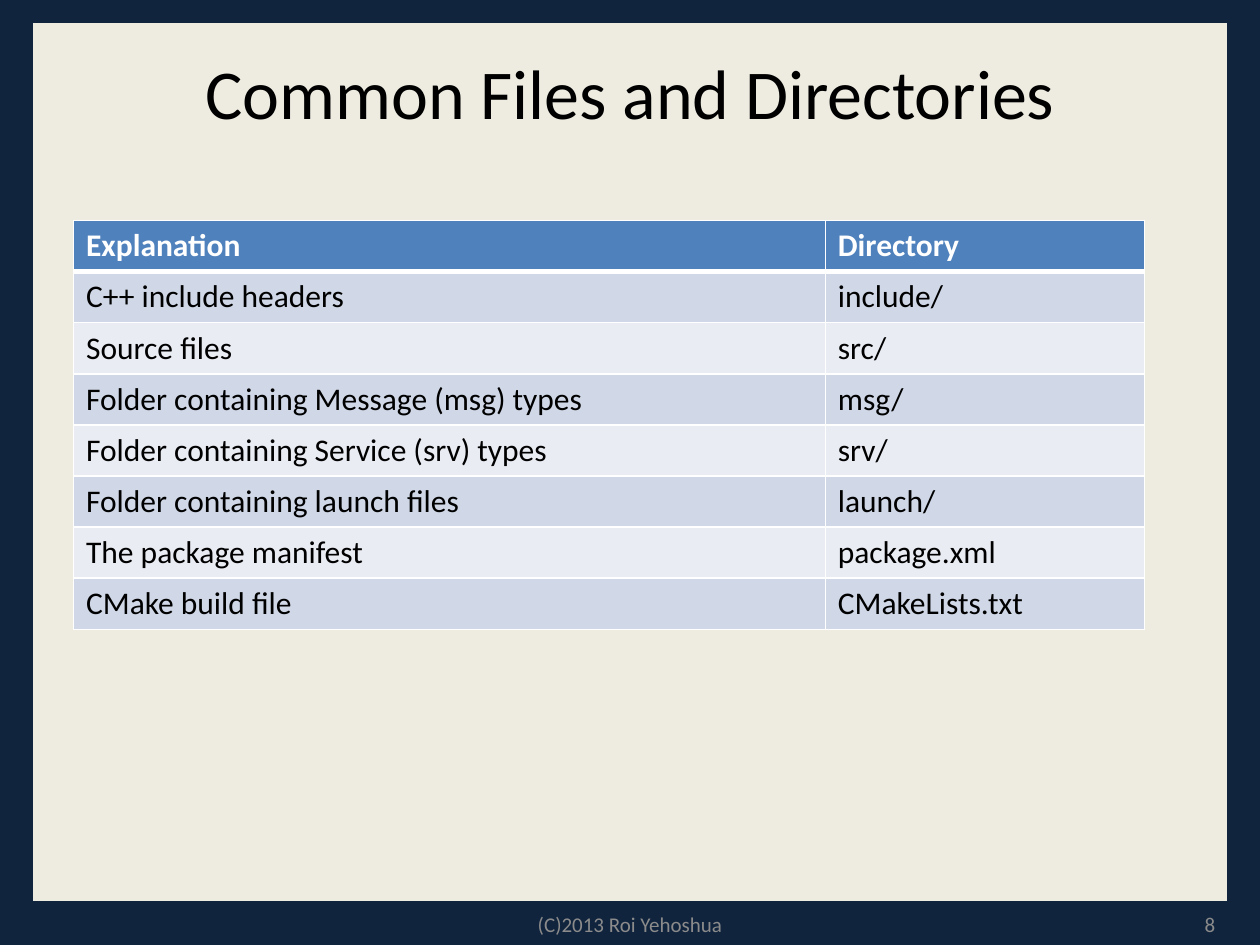
from lxml.etree import SubElement
from pptx import Presentation
from pptx.dml.color import RGBColor
from pptx.enum.shapes import MSO_SHAPE
from pptx.enum.text import MSO_ANCHOR, PP_ALIGN
from pptx.oxml.ns import qn
from pptx.util import Pt

NAVY = RGBColor(0x10, 0x24, 0x3E)
CREAM = RGBColor(0xEE, 0xEC, 0xE1)
BLACK = RGBColor(0, 0, 0)
WHITE = RGBColor(0xFF, 0xFF, 0xFF)
GRAY = RGBColor(0x8B, 0x8B, 0x8B)
BLUE = RGBColor(0x4F, 0x81, 0xBD)
BANDS = [RGBColor(0xE9, 0xEC, 0xF3), RGBColor(0xD0, 0xD8, 0xE7)]


def add_text(tf, text, size, color, align=PP_ALIGN.LEFT, bold=False):
    p = tf.paragraphs[0]
    p.alignment = align
    r = p.add_run()
    r.text = text
    r.font.name = "Calibri"
    r.font.size = Pt(size)
    r.font.bold = bold
    r.font.color.rgb = color


def set_border(cell, side, width):
    ln = SubElement(cell._tc.get_or_add_tcPr(), qn(f"a:ln{side}"), w=str(Pt(width)))
    fill = SubElement(ln, qn("a:solidFill"))
    SubElement(fill, qn("a:srgbClr"), val=str(WHITE))


prs = Presentation()
prs.slide_width, prs.slide_height = Pt(720), Pt(540)
s = prs.slides.add_slide(prs.slide_layouts[5])
s.background.fill.solid()
s.background.fill.fore_color.rgb = NAVY

# Title
title = s.shapes.title
title.left, title.top, title.width, title.height = Pt(18), Pt(15), Pt(684), Pt(75)
title.text_frame.vertical_anchor = MSO_ANCHOR.MIDDLE
add_text(title.text_frame, "Common Files and Directories", 40, BLACK, PP_ALIGN.CENTER)

# Cream panel, behind the title
panel = s.shapes.add_shape(MSO_SHAPE.RECTANGLE, Pt(18), Pt(12), Pt(684), Pt(504))
panel.shadow.inherit = False
panel.fill.solid()
panel.fill.fore_color.rgb = CREAM
panel.line.color.rgb = NAVY
panel.line.width = Pt(2)
title.element.addprevious(panel.element)

# Table of files and directories
rows = [
    ("Explanation", "Directory"),
    ("C++ include headers", "include/"),
    ("Source files", "src/"),
    ("Folder containing Message (msg) types", "msg/"),
    ("Folder containing Service (srv) types", "srv/"),
    ("Folder containing launch files", "launch/"),
    ("The package manifest", "package.xml"),
    ("CMake build file", "CMakeLists.txt"),
]
table = s.shapes.add_table(len(rows), 2, Pt(42), Pt(126), Pt(612), Pt(233.6)).table
table.columns[0].width, table.columns[1].width = Pt(429.6), Pt(182.4)
for i, row in enumerate(rows):
    header = i == 0
    for j, text in enumerate(row):
        cell = table.cell(i, j)
        add_text(cell.text_frame, text, 18, WHITE if header else BLACK, bold=header)
        for side in "LRTB":
            thick = (header and side == "B") or (i == 1 and side == "T")
            set_border(cell, side, 3 if thick else 0.96)
        cell.fill.solid()
        cell.fill.fore_color.rgb = BLUE if header else BANDS[i % 2]

# Footer and slide number
for text, left, width, align in [
    ("(C)2013 Roi Yehoshua", 246, 228, PP_ALIGN.CENTER),
    ("8", 533.5, 168, PP_ALIGN.RIGHT),
]:
    tf = s.shapes.add_textbox(Pt(left), Pt(516), Pt(width), Pt(24)).text_frame
    tf.word_wrap = True
    tf.vertical_anchor = MSO_ANCHOR.MIDDLE
    add_text(tf, text, 12, GRAY, align)

prs.save("out.pptx")
